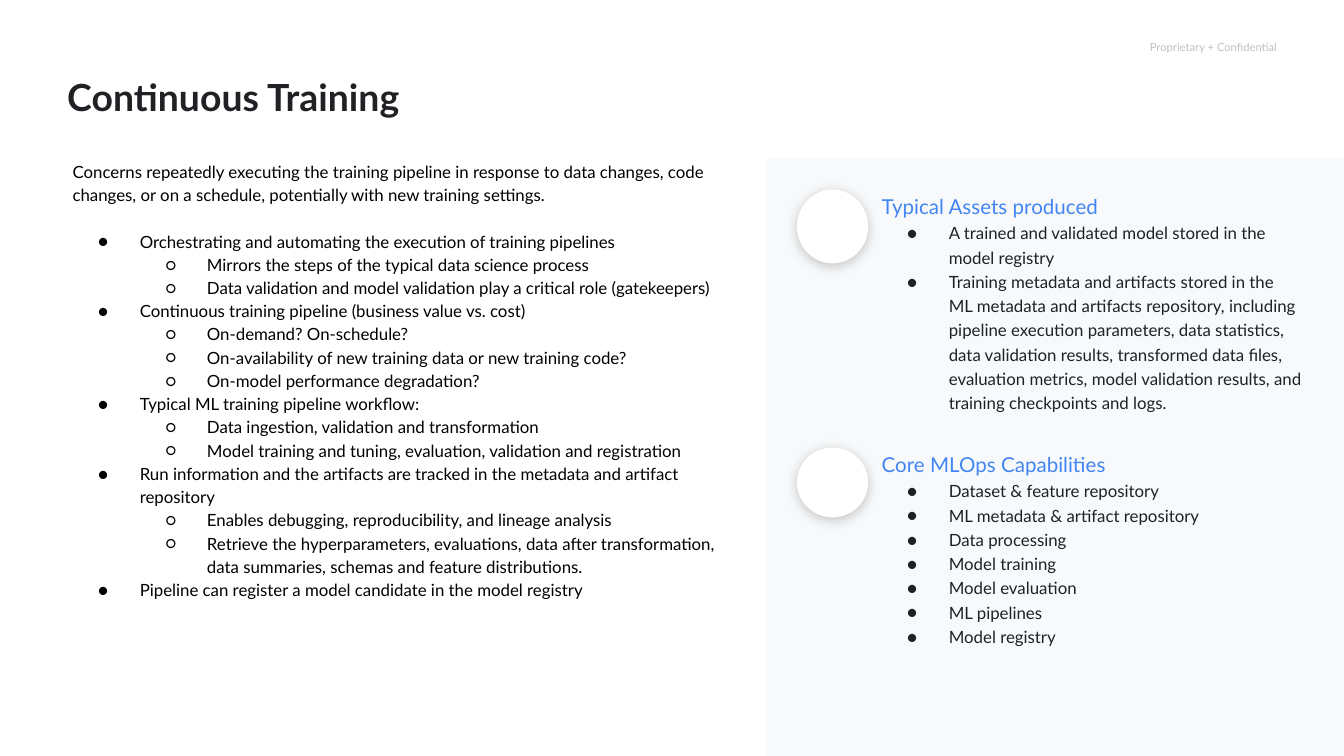
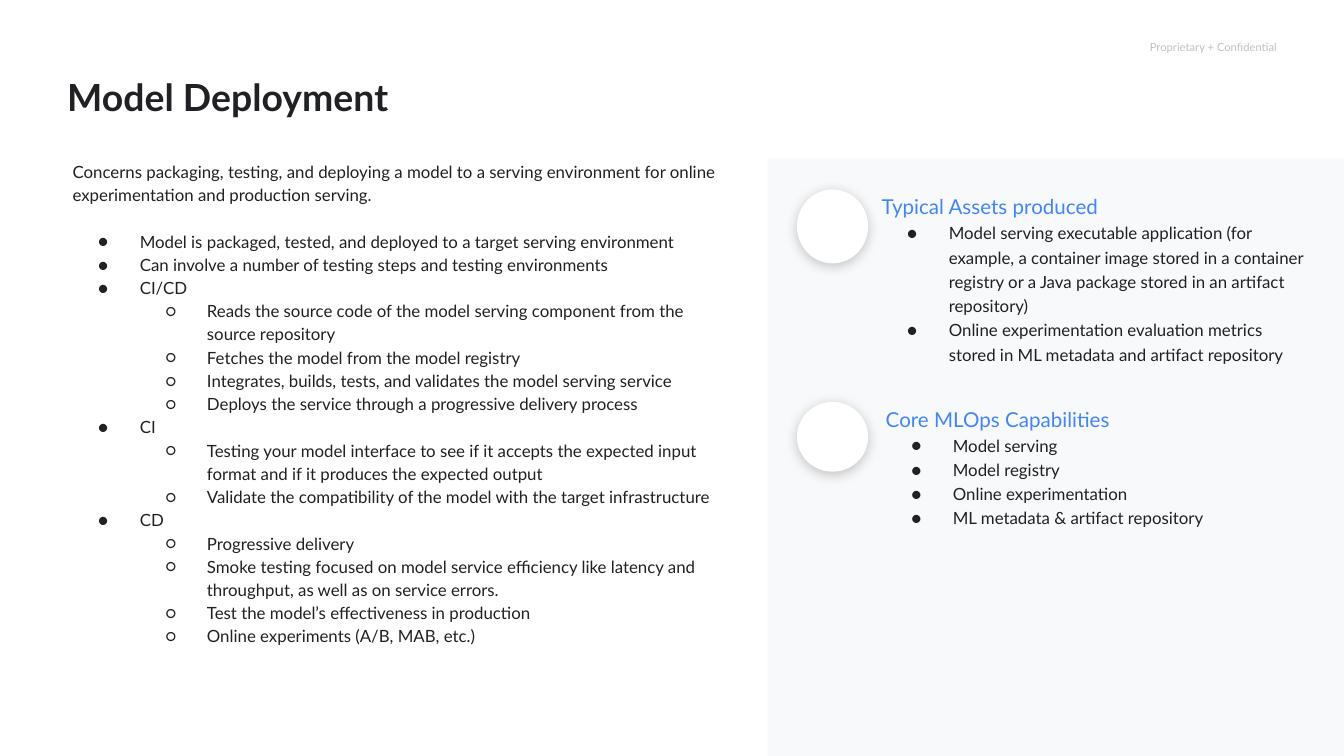
from dataclasses import dataclass
from lxml import etree
from pptx import Presentation
from pptx import util as u
from pptx.dml.color import RGBColor
from pptx.enum import shapes, text
from pptx.oxml.ns import qn


@dataclass(frozen=True)
class Theme:
    font: str = "Lato"
    ink: str = "202124"
    black: str = "000000"
    blue: str = "4285F4"
    gray: str = "BDC1C6"
    panel: str = "F8F9FA"
    white: str = "FFFFFF"
    title: int = 20
    head: int = 11
    body: int = 9
    tag: int = 6


T = Theme()
WIDE = 10
HIGH = WIDE * 9 / 16
TOP = 1.18
SIDE = 5.71
TAG = "Proprietary + Confidential"
MARKS = {1: "●", 2: "○"}
ASSETS = "Typical Assets produced"
SKILLS = "Core MLOps Capabilities"

PAGES = [
    dict(
        title="Continuous Training",
        color=T.black,
        size=(5.07, 3.95),
        intro="Concerns repeatedly executing the training pipeline in response to data changes, code changes, or on a schedule, potentially with new training settings.",
        points=[
            (1, "Orchestrating and automating the execution of training pipelines"),
            (2, "Mirrors the steps of the typical data science process"),
            (2, "Data validation and model validation play a critical role (gatekeepers)"),
            (1, "Continuous training pipeline (business value vs. cost)"),
            (2, "On-demand? On-schedule?"),
            (2, "On-availability of new training data or new training code?"),
            (2, "On-model performance degradation?"),
            (1, "Typical ML training pipeline workflow:"),
            (2, "Data ingestion, validation and transformation"),
            (2, "Model training and tuning, evaluation, validation and registration"),
            (1, "Run information and the artifacts are tracked in the metadata and artifact repository"),
            (2, "Enables debugging, reproducibility, and lineage analysis"),
            (2, "Retrieve the hyperparameters, evaluations, data after transformation, data summaries, schemas and feature distributions."),
            (1, "Pipeline can register a model candidate in the model registry"),
        ],
        cards=[
            (ASSETS, (6.56, 1.41, 3.12, 1.69), 0.55, [
                "A trained and validated model stored in the model registry",
                "Training metadata and artifacts stored in the ML metadata and artifacts repository, including pipeline execution parameters, data statistics, data validation results, transformed data files, evaluation metrics, model validation results, and training checkpoints and logs.",
            ]),
            (SKILLS, (6.56, 3.33, 2.92, 1.4), 0.52, [
                "Dataset & feature repository",
                "ML metadata & artifact repository",
                "Data processing",
                "Model training",
                "Model evaluation",
                "ML pipelines",
                "Model registry",
            ]),
        ],
    ),
    dict(
        title="Model Deployment",
        color=T.ink,
        size=(5.03, 4.05),
        intro="Concerns packaging, testing, and deploying a model to a serving environment for online experimentation and production serving.",
        points=[
            (1, "Model is packaged, tested, and deployed to a target serving environment"),
            (1, "Can involve a number of testing steps and testing environments"),
            (1, "CI/CD"),
            (2, "Reads the source code of the model serving component from the source repository"),
            (2, "Fetches the model from the model registry"),
            (2, "Integrates, builds, tests, and validates the model serving service"),
            (2, "Deploys the service through a progressive delivery process"),
            (1, "CI"),
            (2, "Testing your model interface to see if it accepts the expected input format and if it produces the expected output"),
            (2, "Validate the compatibility of the model with the target infrastructure"),
            (1, "CD"),
            (2, "Progressive delivery"),
            (2, "Smoke testing focused on model service efficiency like latency and throughput, as well as on service errors."),
            (2, "Test the model’s effectiveness in production"),
            (2, "Online experiments (A/B, MAB, etc.)"),
        ],
        cards=[
            (ASSETS, (6.56, 1.41, 3.19, 1.69), 0.55, [
                "Model serving executable application (for example, a container image stored in a container registry or a Java package stored in an artifact repository)",
                "Online experimentation evaluation metrics stored in ML metadata and artifact repository",
            ]),
            (SKILLS, (6.59, 2.99, 2.92, 1.4), 0.52, [
                "Model serving",
                "Model registry",
                "Online experimentation",
                "ML metadata & artifact repository",
            ]),
        ],
    ),
]


def inch(box):
    return [u.Inches(n) for n in box]


def mark(par, level, color):
    prop = par._p.get_or_add_pPr()
    prop.set("marL", str(u.Inches(0.5 * level)))
    prop.set("indent", str(u.Inches(-0.31 if level else 0)))
    if not level:
        etree.SubElement(prop, qn("a:buNone"))
        return
    par.level = level - 1
    tint = etree.SubElement(prop, qn("a:buClr"))
    etree.SubElement(tint, qn("a:srgbClr"), val=color)
    etree.SubElement(prop, qn("a:buFont"), typeface=T.font)
    etree.SubElement(prop, qn("a:buChar"), char=MARKS[level])


def write(shape, box, rows, space=1.0, pad=0, align=text.PP_ALIGN.LEFT):
    shape.left, shape.top, shape.width, shape.height = inch(box)
    frame = shape.text_frame
    frame.word_wrap = True
    frame.auto_size = text.MSO_AUTO_SIZE.NONE
    frame.vertical_anchor = text.MSO_ANCHOR.TOP
    frame.margin_left = frame.margin_top = frame.margin_bottom = 0
    frame.margin_right = u.Inches(pad)
    for i, (level, words, size, color, bold, gap) in enumerate(rows):
        par = frame.add_paragraph() if i else frame.paragraphs[0]
        mark(par, level, color)
        par.alignment = align
        par.line_spacing = space
        par.space_before = u.Pt(gap)
        par.space_after = u.Pt(0)
        run = par.add_run()
        run.text = words
        font = run.font
        font.name, font.size, font.bold = T.font, u.Pt(size), bold
        font.color.rgb = RGBColor.from_string(color)


def label(slide, box, rows, **style):
    write(slide.shapes.add_textbox(*inch(box)), box, rows, **style)


def block(slide, kind, box, color):
    shape = slide.shapes.add_shape(kind, *inch(box))
    shape.shadow.inherit = False
    shape.fill.solid()
    shape.fill.fore_color.rgb = RGBColor.from_string(color)
    shape.line.fill.background()
    return shape


def disc(slide, top, high):
    shape = block(slide, shapes.MSO_SHAPE.OVAL, (5.93, top, 0.53, high), T.white)
    glow = etree.SubElement(
        shape._element.spPr.find(qn("a:effectLst")), qn("a:outerShdw"),
        blurRad=str(u.Pt(6.8)), dist=str(u.Pt(1.5)), dir=str(90 * 60000),
        algn="bl", rotWithShape="0")
    tint = etree.SubElement(glow, qn("a:srgbClr"), val=T.black)
    etree.SubElement(tint, qn("a:alpha"), val="21000")


def build(deck, page):
    slide = deck.slides.add_slide(deck.slide_layouts[1])
    head, body = slide.placeholders
    color = page["color"]
    write(head, (0.5, 0.5, 5.97, 0.44),
          [(0, page["title"], T.title, T.ink, True, 0)], space=1.15, pad=0.1)
    rows = [(0, page["intro"], T.body, color, False, 0)]
    for i, (level, words) in enumerate(page["points"]):
        gap = 0 if i else T.body * 1.2 * 1.15
        rows.append((level, words, T.body, color, False, gap))
    write(body, (0.54, TOP, *page["size"]), rows, space=1.15, pad=0.1)
    label(slide, (8.47, 0.3, 1.03, 0.2), [(0, TAG, T.tag, T.gray, False, 0)],
          align=text.PP_ALIGN.RIGHT)
    block(slide, shapes.MSO_SHAPE.RECTANGLE,
          (SIDE, TOP, WIDE - SIDE, HIGH - TOP), T.panel)
    for name, box, high, items in page["cards"]:
        disc(slide, box[1], high)
        rows = [(0, name, T.head, T.blue, False, 0)]
        rows += [(1, item, T.body, T.ink, False, 0) for item in items]
        label(slide, box, rows, space=1.2)


def main():
    deck = Presentation()
    deck.slide_width, deck.slide_height = inch((WIDE, HIGH))
    for page in PAGES:
        build(deck, page)
    deck.save("out.pptx")


if __name__ == "__main__":
    main()
